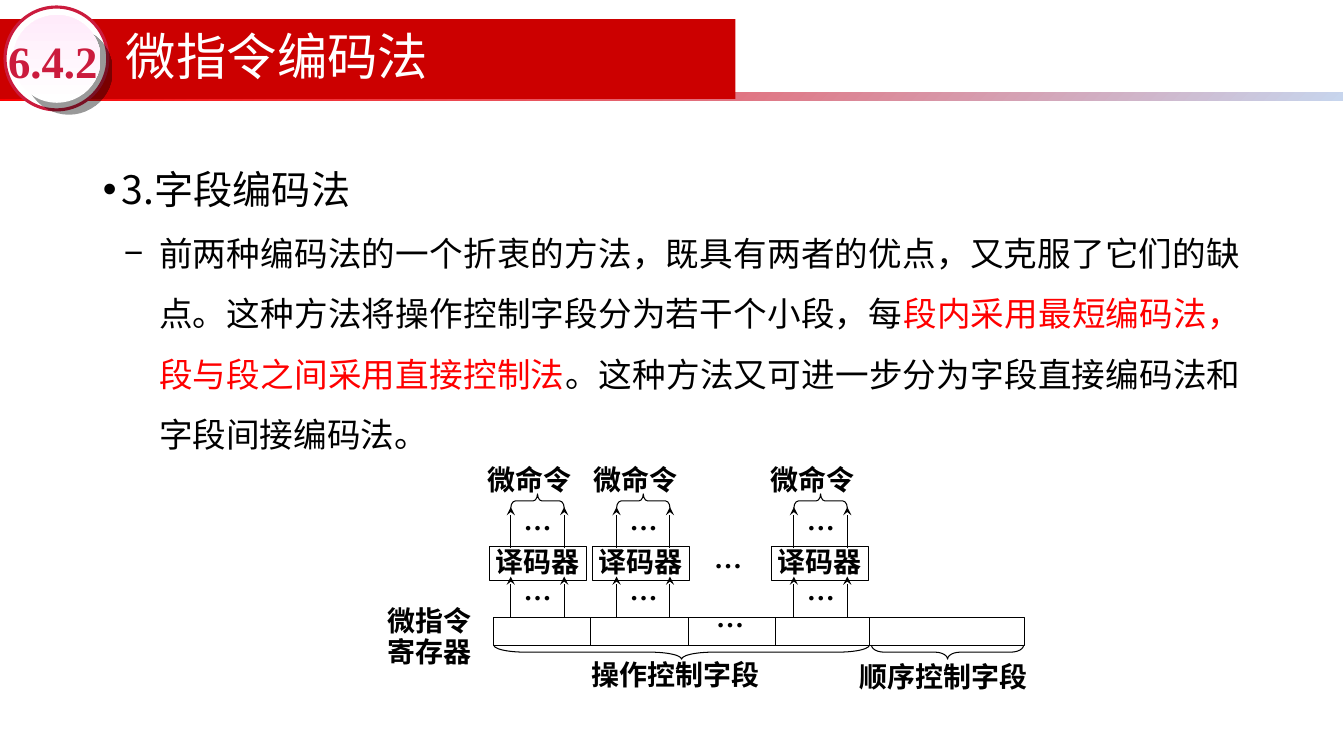
import pptx
import pptx.dml.color
import pptx.enum.shapes
import pptx.enum.text
import pptx.oxml
import pptx.oxml.ns
import pptx.util
from pptx.util import Inches

SHAPE = pptx.enum.shapes.MSO_SHAPE
ALIGN = pptx.enum.text.PP_ALIGN
ANCHOR = pptx.enum.text.MSO_ANCHOR
CJK_FONT = "Noto Sans CJK SC"
LATIN_FONT = "Times New Roman"
BLACK, WHITE, RED = "000000", "FFFFFF", "FF0000"
CRIMSON = "CB1B3D"


def rgb(value):
    return pptx.dml.color.RGBColor.from_string(value)


def add_xml(parent, tag, content="", **attributes):
    listed = " ".join(f'{name}="{value}"' for name, value in attributes.items())
    namespace = pptx.oxml.ns.nsdecls("a")
    parent.append(pptx.oxml.parse_xml(f"<a:{tag} {namespace} {listed}>{content}</a:{tag}>"))


def add_run(paragraph, text, size, color=BLACK, font=CJK_FONT, bold=False):
    run = paragraph.add_run()
    run.text = text
    run.font.size = pptx.util.Pt(size)
    run.font.bold = bold
    run.font.name = font
    run.font.color.rgb = rgb(color)
    add_xml(run.font._element, "ea", typeface=CJK_FONT)


def place(shape, left, top, width, height):
    shape.left, shape.top = Inches(left), Inches(top)
    shape.width, shape.height = Inches(width), Inches(height)


def add_outline(slide, kind, left, top, width, height, fill=None, line=None, weight=0.75):
    shape = slide.shapes.add_shape(kind, Inches(left), Inches(top), Inches(width), Inches(height))
    shape.shadow.inherit = False
    if fill:
        shape.fill.solid()
        shape.fill.fore_color.rgb = rgb(fill)
    else:
        shape.fill.background()
    if line:
        shape.line.color.rgb = rgb(line)
        shape.line.width = pptx.util.Pt(weight)
    else:
        shape.line.fill.background()
    return shape


def fill_gradient(shape, colors, angle):
    shape.fill.gradient()
    shape.fill.gradient_angle = angle
    for stop, color in zip(shape.fill.gradient_stops, colors):
        stop.color.rgb = rgb(color)


def add_label(slide, text, left, top, width, height=0.44):
    label = slide.shapes.add_textbox(Inches(left), Inches(top), Inches(width), Inches(height))
    label.text_frame.word_wrap = True
    add_run(label.text_frame.paragraphs[0], text, 20, font=LATIN_FONT, bold=True)
    return label


def add_vertical(slide, x, start, end, arrow=False):
    line = slide.shapes.add_connector(
        pptx.enum.shapes.MSO_CONNECTOR.STRAIGHT, Inches(x), Inches(start), Inches(x), Inches(end))
    line.line.color.rgb = rgb(BLACK)
    line.line.width = pptx.util.Pt(0.75)
    if arrow:
        add_xml(line.line._get_or_add_ln(), "tailEnd", type="stealth")
    add_xml(line._element.spPr, "effectLst")


def add_brace(slide, kind, left, top, length):
    """Draw a brace lying flat, its left end and top edge at the given point."""
    depth = 0.14
    brace = add_outline(slide, kind, left + (length - depth) / 2, top - (length - depth) / 2,
                        depth, length, line=BLACK)
    brace.rotation = 90
    brace.adjustments[0] = length / 12 / depth


def build_banner(slide, left, top):
    stripe = add_outline(slide, SHAPE.RECTANGLE, left, top + 0.92, 13.33, 0.08, fill=RED)
    fill_gradient(stripe, (RED, "C7D5ED"), 315)
    add_outline(slide, SHAPE.RECTANGLE, left, top + 0.19, 7.3, 0.79, fill="CC0000")

    title = slide.shapes.title
    place(title, left + 1.15, top + 0.18, 7.44, 0.82)
    slide.shapes._spTree.append(title._element)  # in front of the red bar
    frame = title.text_frame
    frame.auto_size = pptx.enum.text.MSO_AUTO_SIZE.NONE
    frame.vertical_anchor = ANCHOR.MIDDLE
    frame.paragraphs[0].alignment = ALIGN.LEFT
    frame.paragraphs[0].line_spacing = 0.9
    add_run(frame.paragraphs[0], "微指令编码法", 36, WHITE)


def build_badge(slide, left, top, diameter):
    add_outline(slide, SHAPE.OVAL, left, top, diameter, diameter, WHITE, CRIMSON, 2.25)
    inset = 0.08
    disc = add_outline(slide, SHAPE.OVAL, left + inset, top + inset,
                       diameter - 2 * inset + 0.01, diameter - 2 * inset + 0.01, WHITE)
    fill_gradient(disc, (WHITE, "FFEBFA"), 90)
    shadow = disc._element.spPr.find(pptx.oxml.ns.qn("a:effectLst"))
    add_xml(shadow, "outerShdw", '<a:srgbClr val="000000"><a:alpha val="40000"/></a:srgbClr>',
            blurRad=0, dist=pptx.util.Pt(12.1), dir=45 * 60000, algn="ctr", rotWithShape=0)

    number = slide.shapes.add_textbox(Inches(left + 0.03), Inches(top + 0.26),
                                      Inches(0.93), Inches(0.54))
    frame = number.text_frame
    frame.margin_left = frame.margin_right = frame.margin_top = frame.margin_bottom = 0
    frame.vertical_anchor = ANCHOR.MIDDLE
    add_run(frame.paragraphs[0], "6.4.2", 32, CRIMSON, LATIN_FONT, True)


def build_explanation(slide, left, top, width, height):
    body = slide.placeholders[1]
    place(body, left, top, width, height)
    frame = body.text_frame
    frame.auto_size = pptx.enum.text.MSO_AUTO_SIZE.NONE
    points = [
        ("•", 0.19, 0.19, 28, [("3.字段编码法", BLACK)]),
        ("−", 0.56, 0.35, 24, [
            ("前两种编码法的一个折衷的方法，既具有两者的优点，又克服了它们的缺点。"
             "这种方法将操作控制字段分为若干个小段，每", BLACK),
            ("段内采用最短编码法，段与段之间采用直接控制法", RED),
            ("。这种方法又可进一步分为字段直接编码法和字段间接编码法。", BLACK)]),
    ]
    for level, (bullet, margin, hanging, size, runs) in enumerate(points):
        paragraph = frame.add_paragraph() if level else frame.paragraphs[0]
        properties = paragraph._p.get_or_add_pPr()
        properties.set("marL", str(Inches(margin)))
        properties.set("indent", str(-Inches(hanging)))
        add_xml(properties, "buClr", f'<a:srgbClr val="{BLACK}"/>')
        add_xml(properties, "buChar", char=bullet)
        paragraph.level = level
        paragraph.alignment = ALIGN.JUSTIFY
        paragraph.line_spacing = 1.5
        paragraph.space_before = pptx.util.Pt(0)
        for text, color in runs:
            add_run(paragraph, text, size, color)


def build_decoder(slide, decoder_left, arrow_left, top):
    """Draw one field's decoder with its inputs, outputs and command label."""
    spread = 0.53
    decoder = add_outline(slide, SHAPE.RECTANGLE, decoder_left, top + 0.88, 0.96, 0.34, line=BLACK)
    frame = decoder.text_frame
    frame.word_wrap = False
    frame.vertical_anchor = ANCHOR.MIDDLE
    frame.paragraphs[0].alignment = ALIGN.CENTER
    frame.paragraphs[0].line_spacing = 0.9
    add_run(frame.paragraphs[0], "译码器", 20, font=LATIN_FONT, bold=True)
    for arrow_top in (top + 0.49, top + 1.18):
        for x in (arrow_left, arrow_left + spread):
            add_vertical(slide, x, arrow_top + 0.41, arrow_top, arrow=True)
        add_label(slide, "…", arrow_left + 0.03, arrow_top - 0.09, 2.35)
    add_brace(slide, SHAPE.LEFT_BRACE, arrow_left, top + 0.36, spread)
    add_label(slide, "微命令", arrow_left - 0.33, top, 1.93)


def build_register(slide, left, top):
    height = 0.27
    add_outline(slide, SHAPE.RECTANGLE, left, top, 5.27, height, line=BLACK)
    for offset in (0.96, 1.93, 2.8, 3.73):
        add_vertical(slide, left + offset, top, top + height)
    add_label(slide, "…", left + 2.11, top - 0.23, 2.35)
    add_brace(slide, SHAPE.RIGHT_BRACE, left, top + height, 3.73)
    add_brace(slide, SHAPE.RIGHT_BRACE, left + 3.75, top + height, 1.51)
    add_label(slide, "操作控制字段", left + 0.87, top + 0.34, 2.22)
    add_label(slide, "顺序控制字段", left + 3.53, top + 0.36, 2.31)

    name = add_label(slide, "微指令", left - 1.15, top - 0.19, 1.93, 0.71)
    second_line = name.text_frame.add_paragraph()
    second_line.line_spacing = 0.3
    second_line.space_before = pptx.util.Pt(12.5)
    add_run(second_line, "寄存器", 20, font=LATIN_FONT, bold=True)


def build_diagram(slide, left, top):
    for decoder, arrow in ((1.11, 1.32), (2.13, 2.37), (3.91, 4.13)):
        build_decoder(slide, left + decoder, left + arrow, top)
    add_label(slide, "…", left + 3.24, top + 0.77, 2.35)
    build_register(slide, left + 1.15, top + 1.59)


def main():
    deck = pptx.Presentation()
    deck.slide_width, deck.slide_height = Inches(13.34), Inches(7.5)
    slide = deck.slides.add_slide(deck.slide_layouts[1])
    build_banner(slide, 0, 0)
    build_badge(slide, 0.05, 0.07, 1.02)
    build_explanation(slide, 0.92, 1.36, 11.5, 5.44)
    build_diagram(slide, 3.75, 4.54)
    deck.save("out.pptx")


if __name__ == "__main__":
    main()
